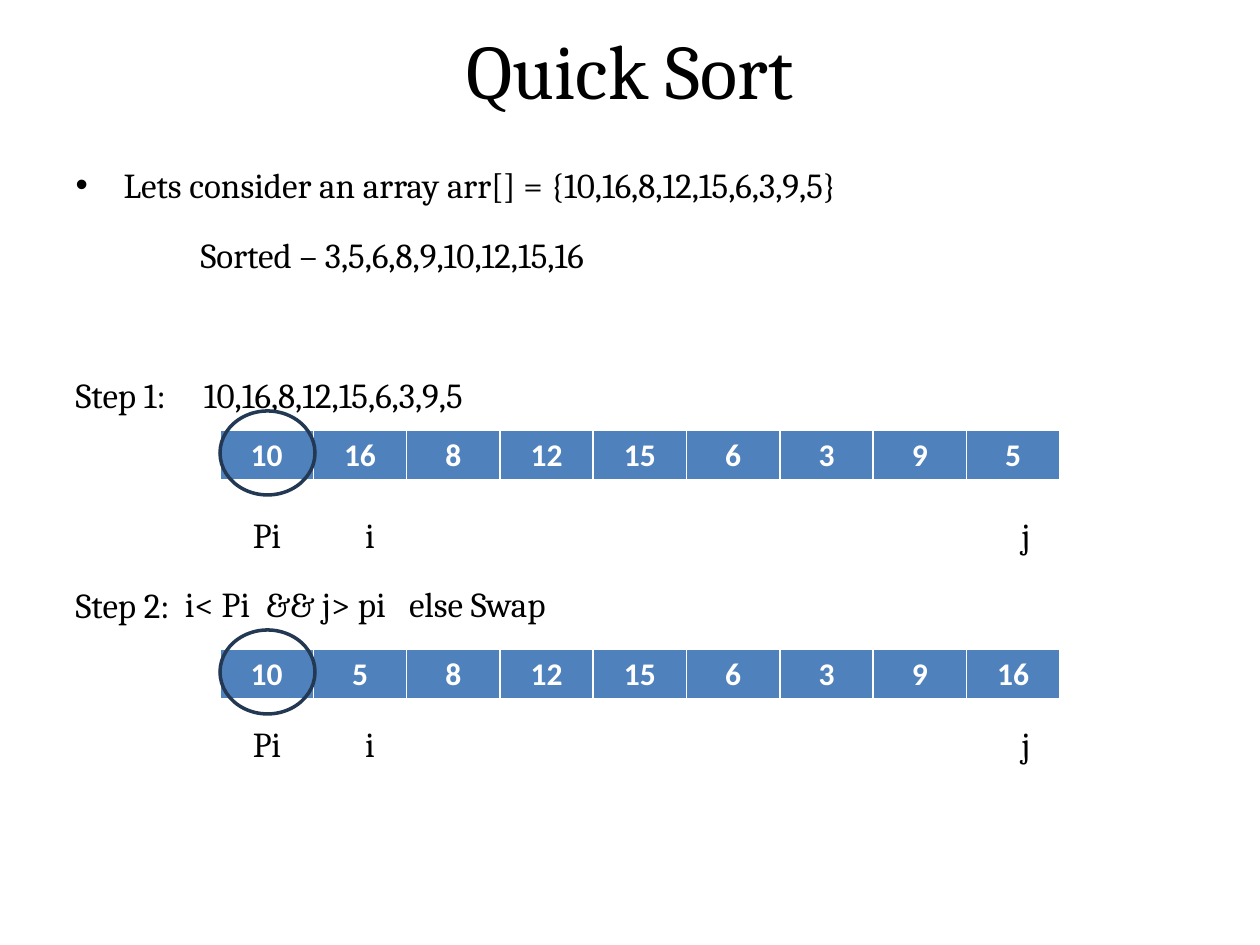
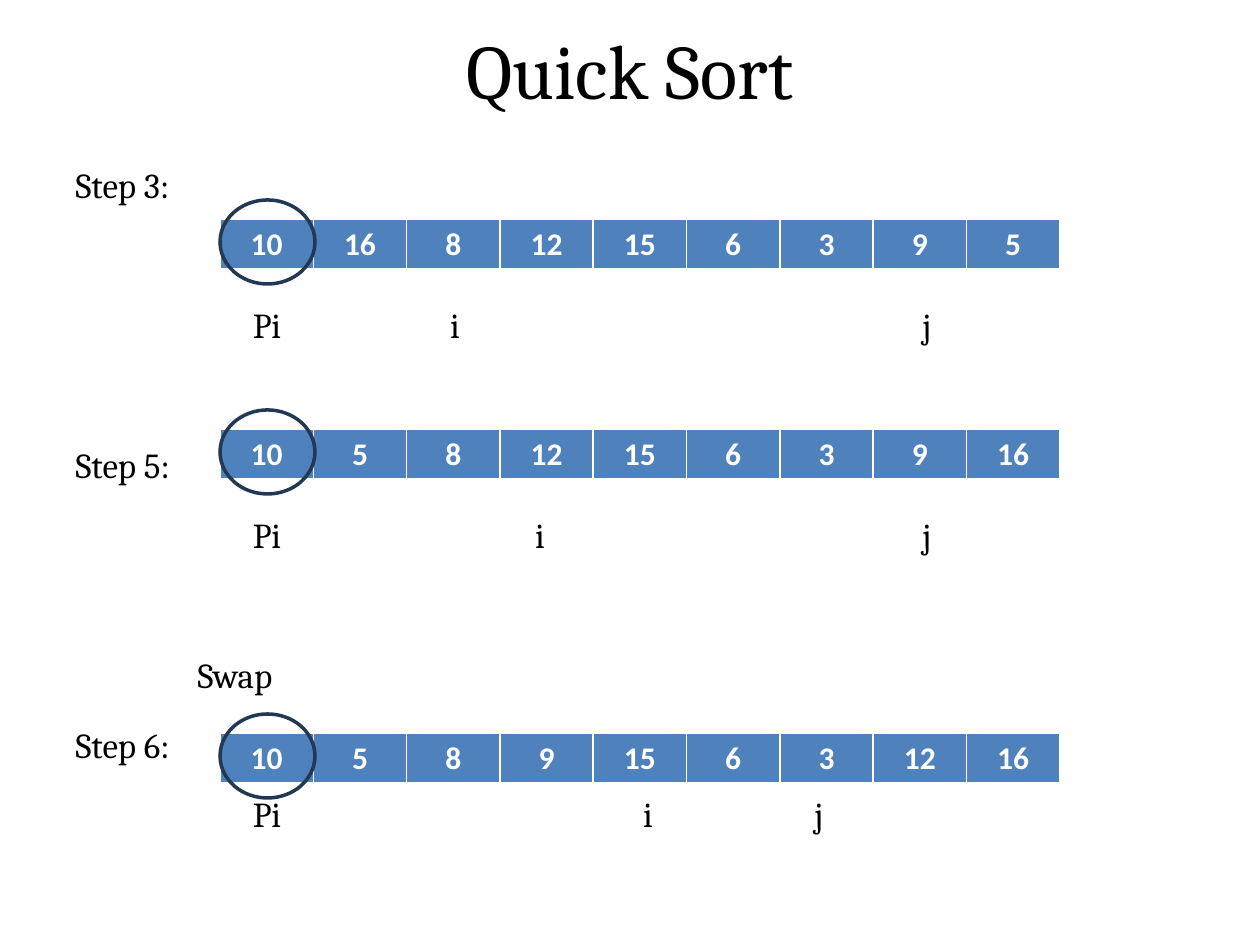
from dataclasses import dataclass
from typing import Any

import pptx
import pptx.dml.color
import pptx.enum.shapes
import pptx.enum.text
import pptx.oxml.ns
import pptx.util
from lxml import etree

PX_PER_INCH = 126
EMU_PER_PX = 914400 / PX_PER_INCH

BLACK = pptx.dml.color.RGBColor(0x00, 0x00, 0x00)
WHITE = pptx.dml.color.RGBColor(0xFF, 0xFF, 0xFF)
CELL_BLUE = pptx.dml.color.RGBColor(0x4F, 0x81, 0xBD)
PIVOT_NAVY = pptx.dml.color.RGBColor(0x23, 0x39, 0x53)

HEADING_FONT = {"name": "Cambria", "size": pptx.util.Pt(44), "bold": False}
STEP_FONT = {"name": "Cambria", "size": pptx.util.Pt(20), "bold": False}
VALUE_FONT = {"name": "Calibri", "size": pptx.util.Pt(18), "bold": True}
NO_MARGINS = {"margin_left": 0, "margin_right": 0, "margin_top": 0, "margin_bottom": 0}

HEADING_BOX = (63, -10, 1134, 158)
STEPS_BOX = (63, 129, 1156, 798)
TEXT_LEFT, TEXT_TOP = 76, 135
BULLET_INDENT = 48
ROW_HEIGHT = 70
ROW_POINTS = 72 * ROW_HEIGHT // PX_PER_INCH

ARRAY_LEFT, ARRAY_WIDTH, ARRAY_HEIGHT = 220, 840, 51
PIVOT_WIDTH, PIVOT_HEIGHT, PIVOT_RISE = 95, 84, 19
PIVOT_LABEL_X = 267
POINTER_WIDTH = 60
BORDER_POINTS = {"a:lnL": 1, "a:lnR": 1, "a:lnT": 1, "a:lnB": 3}

LEFT = pptx.enum.text.PP_ALIGN.LEFT
CENTER = pptx.enum.text.PP_ALIGN.CENTER


@dataclass(frozen=True)
class Line:
    """Line of the body, x measured on the slide."""
    row: int
    text: str
    x: int = TEXT_LEFT
    bullet: bool = False


@dataclass(frozen=True)
class Label:
    """Text set beside or between the body lines, on the same rows."""
    row: int
    x: int
    text: str
    width: int
    align: Any = LEFT


@dataclass(frozen=True)
class ArrayState:
    top: int
    values: tuple[int, ...]


@dataclass(frozen=True)
class StepSlide:
    lines: tuple[Line, ...]
    labels: tuple[Label, ...]
    arrays: tuple[ArrayState, ...]


def pointers(row: int, i_x: int, j_x: int) -> tuple[Label, ...]:
    """Labels of the pivot and the two scanning indexes, centred on each x."""
    centers = {"Pi": PIVOT_LABEL_X, "i": i_x, "j": j_x}
    return tuple(Label(row, x - POINTER_WIDTH // 2, text, POINTER_WIDTH, CENTER)
                 for text, x in centers.items())


START = (10, 16, 8, 12, 15, 6, 3, 9, 5)
FIRST_SWAP = (10, 5, 8, 12, 15, 6, 3, 9, 16)
SECOND_SWAP = (10, 5, 8, 9, 15, 6, 3, 12, 16)

STEP_SLIDES = (
    StepSlide(
        lines=(
            Line(0, "Lets consider an array arr[] = {10,16,8,12,15,6,3,9,5}", bullet=True),
            Line(1, "Sorted – 3,5,6,8,9,10,12,15,16", x=201),
            Line(3, "Step 1:"),
            Line(6, "Step 2:"),
        ),
        labels=(
            Label(3, 204, "10,16,8,12,15,6,3,9,5", 300),
            *pointers(5, 370, 1026),
            Label(6, 185, "i< Pi", 75),
            Label(6, 266, "&& j> pi", 135),
            Label(6, 409, "else Swap", 160),
            *pointers(8, 370, 1026),
        ),
        arrays=(ArrayState(430, START), ArrayState(649, FIRST_SWAP)),
    ),
    StepSlide(
        lines=(
            Line(0, "Step 3:"),
            Line(4, "Step 5:"),
            Line(7, "Swap", x=198),
            Line(8, "Step 6:"),
        ),
        labels=(
            *pointers(2, 455, 927),
            *pointers(5, 540, 927),
            *pointers(9, 648, 819),
        ),
        arrays=(ArrayState(219, START), ArrayState(429, FIRST_SWAP),
                ArrayState(733, SECOND_SWAP)),
    ),
)


def px(length: float) -> int:
    return pptx.util.Emu(round(length * EMU_PER_PX))


def set_all(target: Any, settings: dict[str, Any]) -> None:
    for attribute, value in settings.items():
        setattr(target, attribute, value)


def place(shape: Any, box: tuple[int, int, int, int]) -> None:
    set_all(shape, dict(zip(("left", "top", "width", "height"), map(px, box))))


def write(paragraph: Any, text: str, font: dict[str, Any],
          color: pptx.dml.color.RGBColor, align: Any) -> None:
    paragraph.alignment = align
    run = paragraph.add_run()
    run.text = text
    set_all(run.font, font)
    run.font.color.rgb = color


def add_child(parent: Any, tag: str, **attributes: Any) -> Any:
    return etree.SubElement(parent, pptx.oxml.ns.qn(tag),
                            {key: str(value) for key, value in attributes.items()})


def draw_heading(slide: Any) -> None:
    heading = slide.shapes.title
    place(heading, HEADING_BOX)
    heading.text_frame.vertical_anchor = pptx.enum.text.MSO_ANCHOR.MIDDLE
    write(heading.text_frame.paragraphs[0], "Quick Sort", HEADING_FONT, BLACK, CENTER)


def format_line(paragraph: Any, line: Line) -> None:
    """Set the bullet and the indent of a line."""
    hanging = BULLET_INDENT if line.bullet else 0
    properties = paragraph._p.get_or_add_pPr()
    properties.set("marL", str(px(line.x - TEXT_LEFT + hanging)))
    properties.set("indent", str(px(-hanging)))
    if line.bullet:
        add_child(properties, "a:buChar", char="•")
    else:
        add_child(properties, "a:buNone")


def draw_steps(slide: Any, lines: tuple[Line, ...]) -> None:
    steps = slide.placeholders[1]
    place(steps, STEPS_BOX)
    frame = steps.text_frame
    frame.auto_size = pptx.enum.text.MSO_AUTO_SIZE.NONE
    previous_row = -1
    for index, line in enumerate(lines):
        paragraph = frame.add_paragraph() if index else frame.paragraphs[0]
        format_line(paragraph, line)
        paragraph.line_spacing = pptx.util.Pt(ROW_POINTS)
        paragraph.space_before = pptx.util.Pt(ROW_POINTS * (line.row - previous_row - 1))
        write(paragraph, line.text, STEP_FONT, BLACK, LEFT)
        previous_row = line.row


def draw_label(slide: Any, label: Label) -> None:
    top = TEXT_TOP + label.row * ROW_HEIGHT
    frame = slide.shapes.add_textbox(
        px(label.x), px(top), px(label.width), px(ROW_HEIGHT)).text_frame
    set_all(frame, NO_MARGINS)
    frame.word_wrap = True
    paragraph = frame.paragraphs[0]
    paragraph.line_spacing = pptx.util.Pt(ROW_POINTS)
    write(paragraph, label.text, STEP_FONT, BLACK, label.align)


def draw_borders(cell: Any) -> None:
    properties = cell._tc.get_or_add_tcPr()
    for tag, points in BORDER_POINTS.items():
        border = add_child(properties, tag, w=pptx.util.Pt(points))
        add_child(add_child(border, "a:solidFill"), "a:srgbClr", val=WHITE)


def draw_array(slide: Any, state: ArrayState) -> None:
    """Draw the array as a one-row table with its pivot circled."""
    table = slide.shapes.add_table(
        1, len(state.values), px(ARRAY_LEFT), px(state.top),
        px(ARRAY_WIDTH), px(ARRAY_HEIGHT)).table
    table.horz_banding = False
    for cell, value in zip(table.rows[0].cells, state.values):
        draw_borders(cell)
        cell.fill.solid()
        cell.fill.fore_color.rgb = CELL_BLUE
        write(cell.text_frame.paragraphs[0], str(value), VALUE_FONT, WHITE, CENTER)

    pivot = slide.shapes.add_shape(
        pptx.enum.shapes.MSO_SHAPE.OVAL, px(ARRAY_LEFT), px(state.top - PIVOT_RISE),
        px(PIVOT_WIDTH), px(PIVOT_HEIGHT))
    pivot.shadow.inherit = False
    pivot.fill.background()
    pivot.line.color.rgb = PIVOT_NAVY
    pivot.line.width = pptx.util.Pt(2)


def main() -> None:
    deck = pptx.Presentation()
    deck.slide_width = pptx.util.Inches(10)
    deck.slide_height = pptx.util.Inches(7.5)
    for content in STEP_SLIDES:
        slide = deck.slides.add_slide(deck.slide_layouts[1])
        draw_heading(slide)
        draw_steps(slide, content.lines)
        for label in content.labels:
            draw_label(slide, label)
        for state in content.arrays:
            draw_array(slide, state)
    deck.save("out.pptx")


if __name__ == "__main__":
    main()
